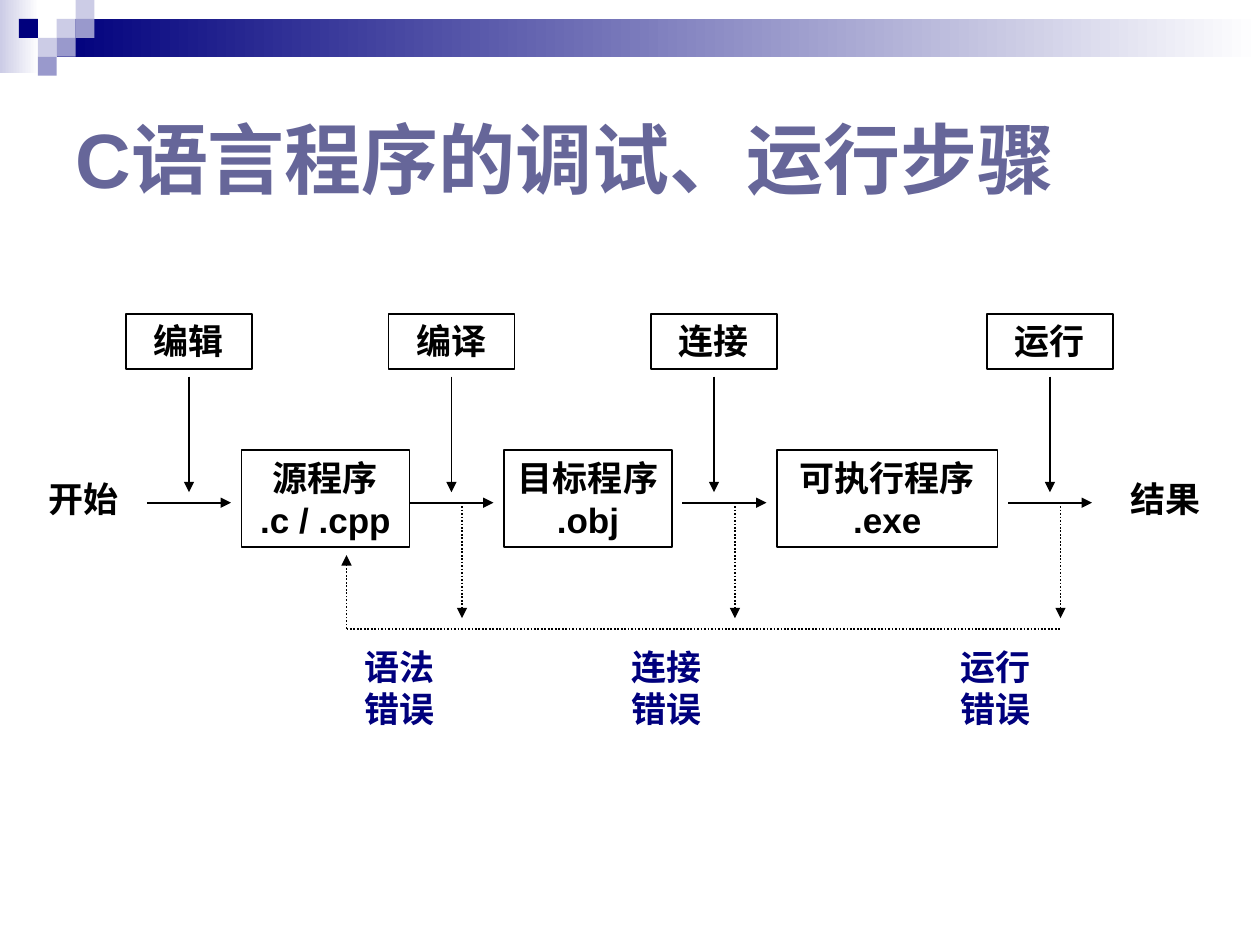
from lxml import etree
from pptx import Presentation
from pptx.dml.color import RGBColor
from pptx.enum.dml import MSO_LINE
from pptx.enum.shapes import MSO_CONNECTOR, MSO_SHAPE
from pptx.enum.text import MSO_ANCHOR, MSO_AUTO_SIZE, PP_ALIGN
from pptx.oxml.ns import qn
from pptx.util import Inches, Pt

COLORS = {
    "white": "FFFFFF", "black": "000000", "navy": "00007D",
    "pale": "CCCCE6", "lilac": "9999CC", "title": "666699",
}
UNIT = Inches(1) / 12  # diagram grid: twelve columns or rows to the inch
DIAGRAM_TOP = Inches(2.49)
SQUARE = Inches(0.15)  # grid of the corner ornament

presentation = Presentation()
presentation.slide_width = Inches(10)
presentation.slide_height = Inches(7.5)
slide = presentation.slides.add_slide(presentation.slide_layouts[6])


def add_label(column, row, width, height, text, color="black", framed=False):
    """Put centred bold text on the diagram grid, with or without a frame."""
    place = [round(value) for value in (
        column * UNIT, DIAGRAM_TOP + row * UNIT, width * UNIT, height * UNIT)]
    if framed:
        shape = slide.shapes.add_shape(MSO_SHAPE.RECTANGLE, *place)
        shape.shadow.inherit = False
        shape.fill.background()
        shape.line.color.rgb = RGBColor.from_string(COLORS["black"])
        shape.line.width = Pt(1)
    else:
        shape = slide.shapes.add_textbox(*place)
    frame = shape.text_frame
    frame.text = text
    frame.word_wrap = True
    frame.auto_size = MSO_AUTO_SIZE.SHAPE_TO_FIT_TEXT
    frame.vertical_anchor = MSO_ANCHOR.TOP
    for paragraph in frame.paragraphs:
        paragraph.alignment = PP_ALIGN.CENTER
        font = paragraph.runs[0].font
        font.name, font.size, font.bold = "Arial", Pt(20), True
        font.color.rgb = RGBColor.from_string(COLORS[color])


def add_line(start, end, dotted=False, arrow=True):
    """Draw a line between two (column, row) points of the diagram grid."""
    (x1, y1), (x2, y2) = start, end
    line = slide.shapes.add_connector(
        MSO_CONNECTOR.STRAIGHT, round(x1 * UNIT), round(DIAGRAM_TOP + y1 * UNIT),
        round(x2 * UNIT), round(DIAGRAM_TOP + y2 * UNIT))
    line.line.color.rgb = RGBColor.from_string(COLORS["black"])
    line.line.width = Pt(1)
    if dotted:
        line.line.dash_style = MSO_LINE.ROUND_DOT
    properties = line.element.spPr
    if arrow:
        etree.SubElement(properties.find(qn("a:ln")), qn("a:tailEnd"), type="triangle")
    etree.SubElement(properties, qn("a:effectLst"))


# Gradient bands of the header: left, top, width, height, first and last colour
bands = [
    (0, 0, 0.31, 0.58, "pale", "white"),
    (0.45, 0.15, 9.55, 0.3, "navy", "white"),
]
for *place, first, last in bands:
    band = slide.shapes.add_shape(MSO_SHAPE.RECTANGLE, *map(Inches, place))
    band.shadow.inherit = False
    band.line.fill.background()
    band.fill.gradient()
    band.fill.gradient_angle = 0
    for stop, position, color in zip(band.fill.gradient_stops, (0, 1), (first, last)):
        stop.position = position
        stop.color.rgb = RGBColor.from_string(COLORS[color])

# Corner squares: column, row, colour
squares = [
    (3, 1, "pale"), (4, 0, "pale"), (4, 1, "lilac"), (2, 2, "pale"),
    (1, 1, "navy"), (3, 2, "lilac"), (2, 3, "lilac"),
]
for column, row, color in squares:
    square = slide.shapes.add_shape(
        MSO_SHAPE.RECTANGLE, column * SQUARE, row * SQUARE, SQUARE, SQUARE)
    square.shadow.inherit = False
    square.line.fill.background()
    square.fill.solid()
    square.fill.fore_color.rgb = RGBColor.from_string(COLORS[color])

# Title
title = slide.shapes.add_textbox(Inches(0.5), Inches(0.5), Inches(9), Inches(1.5))
title.text_frame.text = "C语言程序的调试、运行步骤"
title.text_frame.word_wrap = True
title.text_frame.vertical_anchor = MSO_ANCHOR.MIDDLE
title_font = title.text_frame.paragraphs[0].runs[0].font
title_font.name, title_font.size, title_font.bold = "Arial", Pt(44), True
title_font.color.rgb = RGBColor.from_string(COLORS["title"])

# Start and result
for column, text in [(2, "开始"), (105, "结果")]:
    add_label(column, 15, 12, 5.25, text)

# Program files: column, width, text
files = [
    (23, 16, "源程序\n.c / .cpp"),
    (48, 16, "目标程序\n.obj"),
    (74, 21, "可执行程序\n.exe"),
]
for column, width, text in files:
    add_label(column, 13, width, 9.25, text, framed=True)

# Steps, each with an arrow down to the flow: column, text, start of flow arrow
steps = [(12, "编辑", 14), (37, "编译", 39), (62, "连接", 65), (94, "运行", 96)]
for column, text, flow in steps:
    add_label(column, 0, 12, 5.25, text, framed=True)
    add_line((column + 6, 6), (column + 6, 17))
    add_line((flow, 18), (flow + 8, 18))

# Errors, each with a dotted arrow: label column, text, arrow column
errors = [(32.6, "语法\n错误", 44), (58, "连接\n错误", 70), (89.3, "运行\n错误", 101)]
for column, text, arrow_column in errors:
    add_label(column, 31, 11, 9.25, text, color="navy")
    add_line((arrow_column, 18), (arrow_column, 29), dotted=True)

# Way back to the source program
add_line((33, 30), (101, 30), dotted=True, arrow=False)
add_line((33, 30), (33, 23), dotted=True)

presentation.save("out.pptx")
